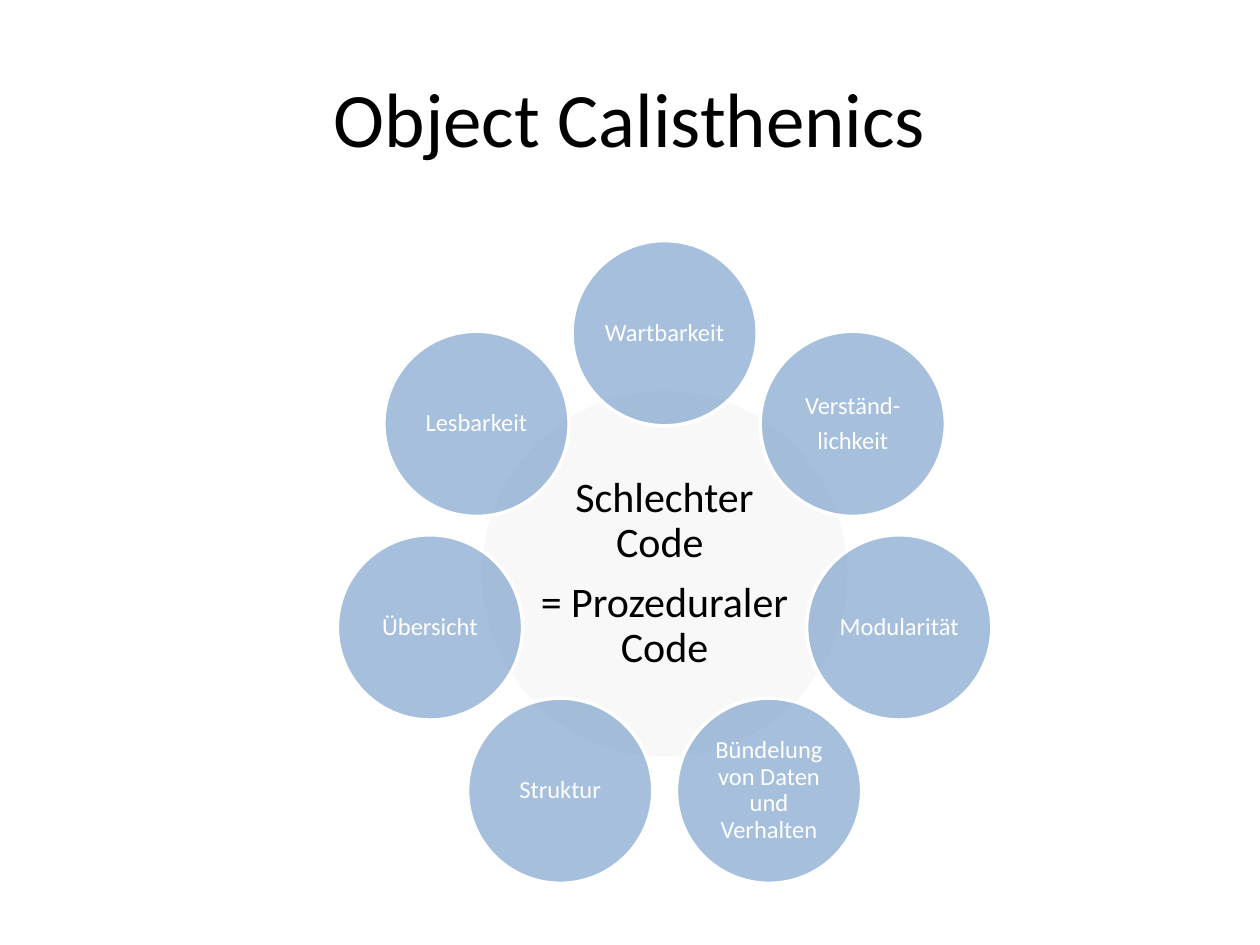
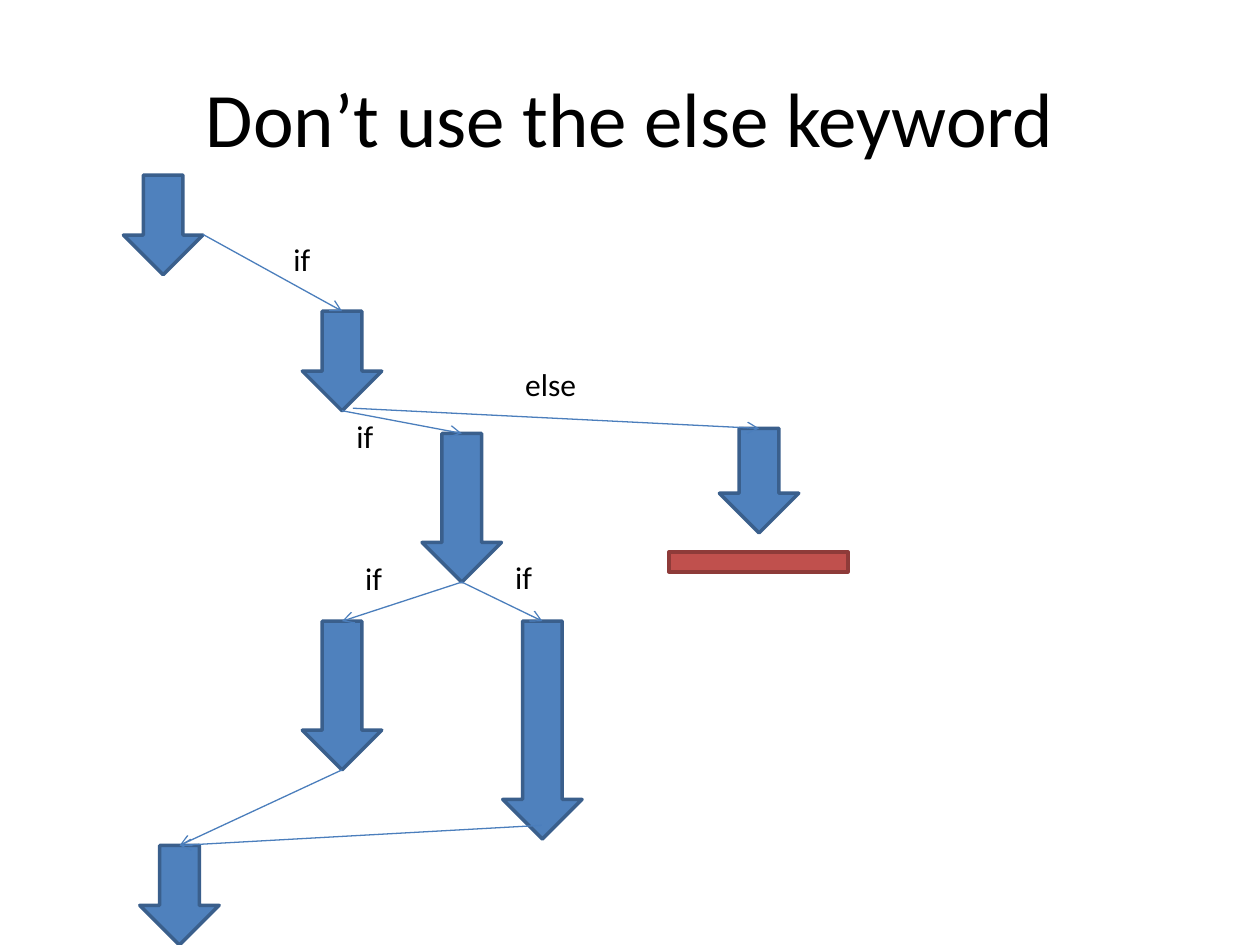
import math

from lxml import etree
from pptx import Presentation
from pptx import util as u
from pptx.dml.color import RGBColor
from pptx.enum import shapes, text
from pptx.oxml.ns import qn

PX = 9144  # 100 px to the inch
FONT = "Calibri"
BLACK, WHITE, BLUE, GREY, RED = "000000", "FFFFFF", "4F81BD", "F2F2F2", "C0504D"
DARK_BLUE, LINE_BLUE, DARK_RED = "3A5F8C", "4B7EBC", "8E3B39"
TOP, BOTTOM = 0, 2
ARROW_WIDTH = 63

QUALITIES = ["Wartbarkeit", "Verständ-\nlichkeit", "Modularität",
             "Bündelung von Daten und Verhalten", "Struktur", "Übersicht", "Lesbarkeit"]

# name: left, top, height
FLOW_ARROWS = {
    "start": (98, 139, 79),
    "first_if": (240, 247, 79),
    "second_if": (335, 344, 118),
    "else": (571, 340, 83),
    "left_if": (240, 493, 118),
    "right_if": (399, 493, 173),
    "end": (111, 671, 79),
}
# A start is an arrow's name (its tip) or a free point
FLOW_LINES = [
    ((161, 186), "first_if"),
    ("first_if", "second_if"),
    ((280, 324), "else"),
    ("second_if", "left_if"),
    ("second_if", "right_if"),
    ("left_if", "end"),
    ((430, 655), "end"),
]
FLOW_LABELS = [("if", 223, 186, 46), ("if", 273, 326, 46), ("else", 407, 285, 69),
               ("if", 280, 439, 46), ("if", 399, 438, 46)]


def px(*lengths):
    return [u.Emu(round(length * PX)) for length in lengths]


def color(hex_string):
    return RGBColor.from_string(hex_string)


def write(shape, wording, size, hex_string, align, inset=None, tight=False):
    """Fill a shape with text; tight gives the close line spacing of the circles."""
    frame = shape.text_frame
    frame.word_wrap = True
    frame.text = wording
    if inset is not None:
        frame.margin_left = frame.margin_right = u.Emu(inset * PX)
        frame.margin_top = frame.margin_bottom = u.Emu(inset * PX)
    for para in frame.paragraphs:
        para.alignment = align
        if tight:
            para.line_spacing = 0.9
            para.space_after = u.Pt(size * 0.35)
        for span in para.runs:
            span.font.name = FONT
            span.font.size = u.Pt(size)
            span.font.color.rgb = color(hex_string)
    return frame


def add_text(page, wording, left, top, width, height, size, align):
    box = page.shapes.add_textbox(*px(left, top, width, height))
    return write(box, wording, size, BLACK, align)


def add_title(page, wording):
    frame = add_text(page, wording, 50, 30, 900, 125, 44, text.PP_ALIGN.CENTER)
    frame.vertical_anchor = text.MSO_ANCHOR.MIDDLE


def add_label(page, wording, left, top, width):
    frame = add_text(page, wording, left, top, width, 40, 18, text.PP_ALIGN.LEFT)
    frame.auto_size = text.MSO_AUTO_SIZE.SHAPE_TO_FIT_TEXT


def add_block(page, kind, left, top, width, height, fill, line):
    shape = page.shapes.add_shape(kind, *px(left, top, width, height))
    shape.shadow.inherit = False
    shape.fill.solid()
    shape.fill.fore_color.rgb = color(fill)
    shape.line.color.rgb = color(line)
    shape.line.width = u.Pt(2)
    return shape


def add_circle(page, center, diameter, fill, wording, size, ink, inset):
    """Half-transparent circle around its center, with text inside."""
    left, top = (middle - diameter / 2 for middle in center)
    circle = add_block(page, shapes.MSO_SHAPE.OVAL, left, top, diameter, diameter, fill, WHITE)
    tint = circle._element.spPr.find(qn("a:solidFill"))[0]
    etree.SubElement(tint, qn("a:alpha")).set("val", "50000")
    frame = write(circle, wording, size, ink, text.PP_ALIGN.CENTER, inset, tight=True)
    frame.vertical_anchor = text.MSO_ANCHOR.MIDDLE


def add_flow_line(page, start, target):
    """Arrow from a point or from a block's tip to the top of the target."""
    point = px(*start) if isinstance(start, tuple) else (0, 0)
    line = page.shapes.add_connector(shapes.MSO_CONNECTOR.STRAIGHT, *point, 0, 0)
    if not isinstance(start, tuple):
        line.begin_connect(start, BOTTOM)
    line.end_connect(target, TOP)
    line.line.color.rgb = color(LINE_BLUE)
    line.line.width = u.Pt(0.75)
    etree.SubElement(line.line._get_or_add_ln(), qn("a:tailEnd")).set("type", "arrow")
    etree.SubElement(line._element.spPr, qn("a:effectLst"))


def add_page(deck, title):
    page = deck.slides.add_slide(deck.slide_layouts[6])
    add_title(page, title)
    return page


def build_calisthenics(deck):
    page = add_page(deck, "Object Calisthenics")
    center_x, center_y, radius = 527.5, 455.5, 191
    add_circle(page, (center_x, center_y), 293, GREY,
               "Schlechter Code \n= Prozeduraler Code", 24, BLACK, 3)
    for index, quality in enumerate(QUALITIES):
        angle = 2 * math.pi * index / len(QUALITIES)
        center = (center_x + radius * math.sin(angle), center_y - radius * math.cos(angle))
        add_circle(page, center, 147, BLUE, quality, 14, WHITE, 2)


def build_else_keyword(deck):
    page = add_page(deck, "Don’t use the else keyword")
    arrows = {
        name: add_block(page, shapes.MSO_SHAPE.DOWN_ARROW, left, top, ARROW_WIDTH, height,
                        BLUE, DARK_BLUE)
        for name, (left, top, height) in FLOW_ARROWS.items()
    }
    for start, target in FLOW_LINES:
        add_flow_line(page, arrows.get(start, start), arrows[target])
    add_block(page, shapes.MSO_SHAPE.RECTANGLE, 531, 438, 142, 16, RED, DARK_RED)
    for label in FLOW_LABELS:
        add_label(page, *label)


def main():
    deck = Presentation()
    deck.slide_width, deck.slide_height = px(1000, 750)
    build_calisthenics(deck)
    build_else_keyword(deck)
    deck.save("out.pptx")


if __name__ == "__main__":
    main()
